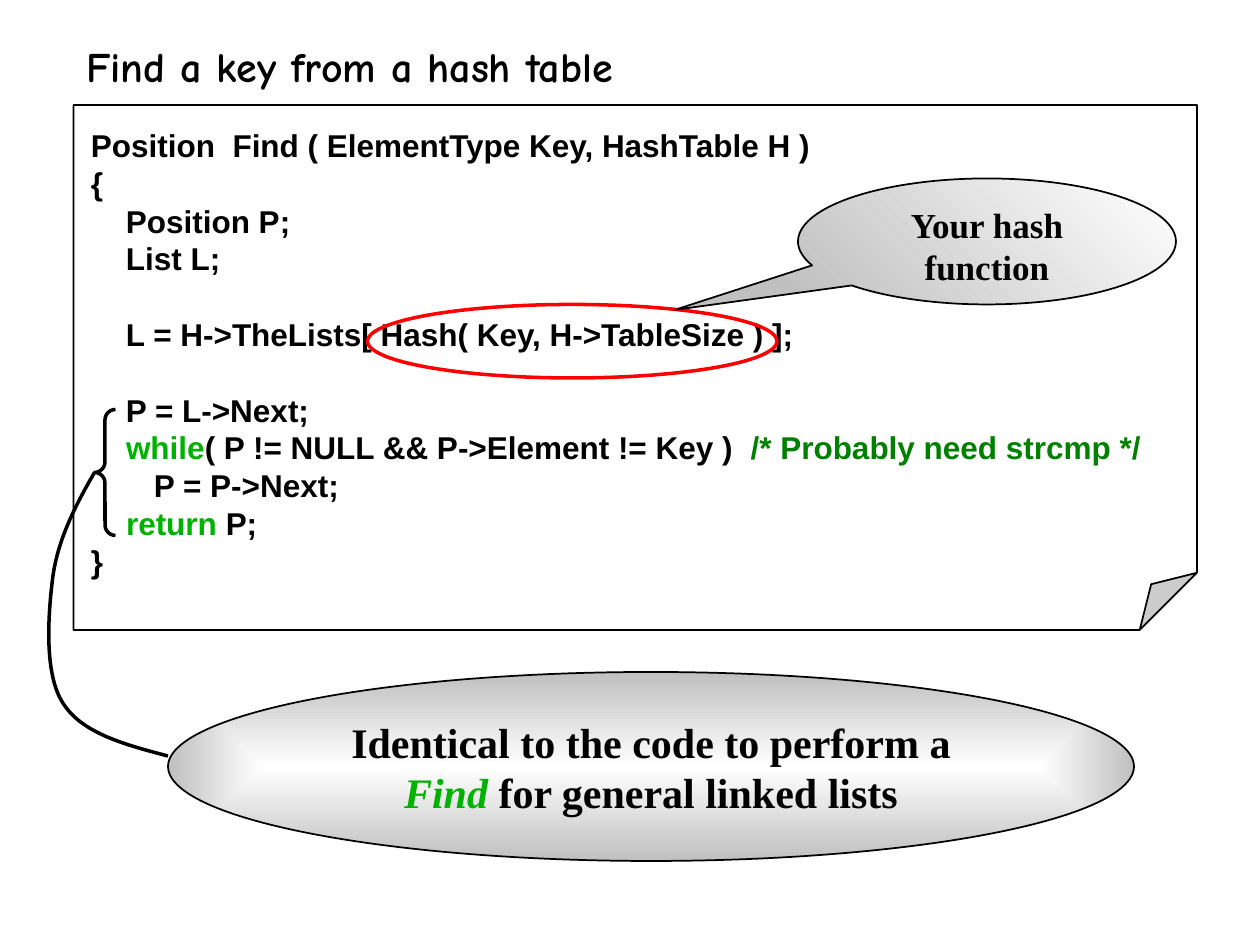
from lxml import etree
from pptx import Presentation
from pptx.dml.color import RGBColor
from pptx.enum.shapes import MSO_SHAPE
from pptx.enum.text import MSO_ANCHOR, MSO_AUTO_SIZE, PP_ALIGN
from pptx.oxml.ns import qn
from pptx.util import Pt

TOP, MIDDLE = MSO_ANCHOR.TOP, MSO_ANCHOR.MIDDLE
LEFT, CENTER = PP_ALIGN.LEFT, PP_ALIGN.CENTER
FOLDED_CORNER, LEFT_BRACE = MSO_SHAPE.FOLDED_CORNER, MSO_SHAPE.LEFT_BRACE
OVAL, OVAL_CALLOUT = MSO_SHAPE.OVAL, MSO_SHAPE.OVAL_CALLOUT
TITLE_ONLY = 5
LINE_HEIGHT = 1.2

COLORS = {
    "black": "000000",
    "white": "FFFFFF",
    "gray": "C0C0C0",
    "red": "FF0000",
    "keyword": "00B200",
    "comment": "008000",
}

# Each line is a list of (text, color) runs; an empty list is a blank line.
CODE = [
    [("Position  Find ( ElementType Key, HashTable H )", "black")],
    [("{", "black")],
    [("    Position P;", "black")],
    [("    List L;", "black")],
    [],
    [("    L = H->TheLists[ Hash( Key, H->TableSize ) ];", "black")],
    [],
    [("    P = L->Next;", "black")],
    [("    ", "black"), ("while", "keyword"),
     ("( P != NULL && P->Element != Key )  ", "black"),
     ("/* Probably need strcmp */", "comment")],
    [("\tP = P->Next;", "black")],
    [("    ", "black"), ("return", "keyword"), (" P;", "black")],
    [("}", "black")],
]
REMARK = [[("Identical to the code to perform a ", "black"),
           ("Find", "keyword", True),
           (" for general linked lists", "black")]]
# Start point, then two control points and an end point for each curve.
LINK_POINTS = [(54, 270), (43.2, 288.7), (33.1, 308.2), (30.2, 329.8),
               (27.4, 352), (25.2, 385.2), (36, 401.8),
               (46.8, 419), (71.3, 425.5), (96, 432)]


def rgb(name):
    return RGBColor.from_string(COLORS[name])


def write_text(shape, lines, size, font, align=LEFT, anchor=TOP,
               insets=(7.2, 3.6, 7.2, 3.6)):
    """Write lines of (text, color, italic) runs; blank lines become spacing."""
    frame = shape.text_frame
    frame.word_wrap = True
    frame.auto_size = MSO_AUTO_SIZE.NONE
    frame.vertical_anchor = anchor
    (frame.margin_left, frame.margin_top,
     frame.margin_right, frame.margin_bottom) = map(Pt, insets)
    paragraph, gap = frame.paragraphs[0], 0
    for index, line in enumerate(lines):
        if not line:
            gap += size * LINE_HEIGHT
            continue
        if index:
            paragraph = frame.add_paragraph()
        paragraph.alignment = align
        paragraph.space_before = Pt(gap)
        paragraph.line_spacing = Pt(size * LINE_HEIGHT)
        gap = 0
        for text, color, *italic in line:
            run = paragraph.add_run()
            run.text = text
            run.font.name = font
            run.font.size = Pt(size)
            run.font.bold = True
            run.font.italic = bool(italic)
            run.font.color.rgb = rgb(color)


def set_outline(shape, color, width):
    shape.shadow.inherit = False
    shape.line.color.rgb = rgb(color)
    shape.line.width = Pt(width)


def add_shape(slide, kind, box, fill=None, line="black", width=1,
              adjustments=()):
    shape = slide.shapes.add_shape(kind, *map(Pt, box))
    set_outline(shape, line, width)
    if fill:
        shape.fill.solid()
        shape.fill.fore_color.rgb = rgb(fill)
    else:
        shape.fill.background()
    for index, value in enumerate(adjustments):
        shape.adjustments[index] = value
    return shape


def set_fold(shape, fraction):
    """Set the fold size, which python-pptx does not list as an adjustment."""
    guides = next(shape.element.spPr.iter(qn("a:avLst")))
    etree.SubElement(guides, qn("a:gd"), name="adj",
                     fmla=f"val {round(fraction * 100000)}")


def fill_gradient(shape, start, end, angle=None):
    """Fill along an angle, or outward from the centre if there is none."""
    shape.fill.gradient()
    for stop, position, color in zip(shape.fill.gradient_stops, (0, 1),
                                     (start, end)):
        stop.position = position
        stop.color.rgb = rgb(color)
    if angle is not None:
        shape.fill.gradient_angle = angle
        return
    linear = next(shape.element.spPr.iter(qn("a:lin")))
    gradient = linear.getparent()
    gradient.remove(linear)
    radial = etree.SubElement(gradient, qn("a:path"), {"path": "shape"})
    etree.SubElement(radial, qn("a:fillToRect"),
                     {side: "50000" for side in "ltrb"})


def add_curve(slide, points, color, width):
    """Draw a freeform whose points after the first form cubic curves."""
    builder = slide.shapes.build_freeform(*map(Pt, points[0]))
    builder.add_line_segments([tuple(map(Pt, point)) for point in points[1:]],
                              close=False)
    shape = builder.convert_to_shape()
    shape.fill.background()
    set_outline(shape, color, width)
    segments = list(shape.element.spPr.iter(qn("a:lnTo")))
    outline = segments[0].getparent()
    for first in range(0, len(segments), 3):
        curve = etree.SubElement(outline, qn("a:cubicBezTo"))
        for segment in segments[first:first + 3]:
            curve.append(segment[0])
            outline.remove(segment)


def add_title(slide, text):
    title = slide.shapes.title
    title.left, title.top, title.width, title.height = map(
        Pt, (42, 19.5, 366, 36))
    write_text(title, [[(text, "black")]], 24, "Comic Neue", anchor=MIDDLE)


def main():
    presentation = Presentation()
    presentation.slide_width, presentation.slide_height = Pt(720), Pt(540)
    slide = presentation.slides.add_slide(
        presentation.slide_layouts[TITLE_ONLY])
    add_title(slide, "Find a key from a hash table")

    code_sheet = add_shape(slide, FOLDED_CORNER, (42, 60, 642, 300),
                           fill="white")
    set_fold(code_sheet, 0.109)
    write_text(code_sheet, CODE, 18, "Arial", insets=(10, 12, 7.2, 3.6))

    add_shape(slide, OVAL, (210, 174, 234, 42), line="red", width=2)
    callout = add_shape(slide, OVAL_CALLOUT, (456, 102, 216, 72),
                        adjustments=[-0.826, 0.543])
    fill_gradient(callout, "gray", "white", angle=45)
    write_text(callout, [[("Your hash function", "black")]], 20,
               "Times New Roman", align=CENTER)

    add_shape(slide, LEFT_BRACE, (54, 234, 12, 72), width=2,
              adjustments=[0.5, 0.5])
    add_curve(slide, LINK_POINTS, "black", 2)
    remark = add_shape(slide, OVAL, (96, 384, 552, 108))
    fill_gradient(remark, "white", "gray")
    write_text(remark, REMARK, 24, "Times New Roman", align=CENTER,
               anchor=MIDDLE)
    presentation.save("out.pptx")


if __name__ == "__main__":
    main()
